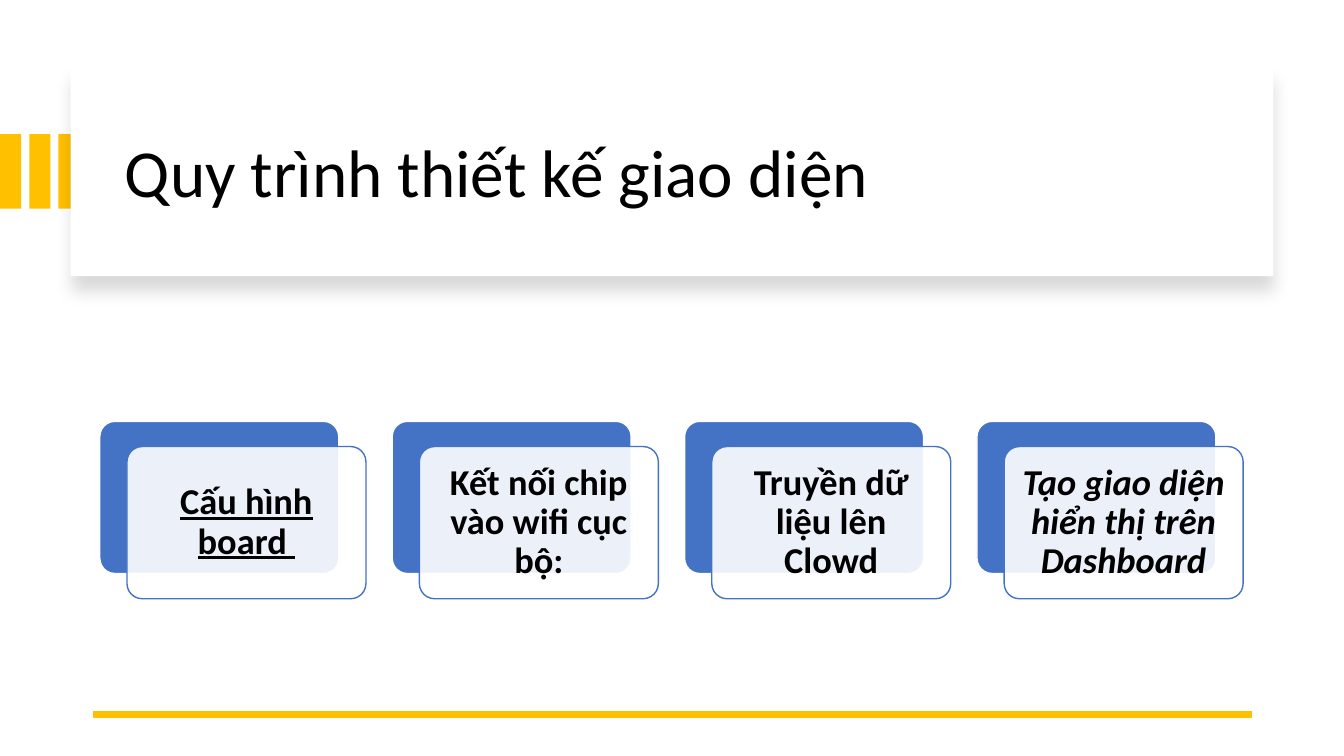
from lxml.etree import SubElement
from pptx import Presentation
from pptx.dml.color import RGBColor
from pptx.enum.shapes import MSO_CONNECTOR, MSO_SHAPE
from pptx.enum.text import MSO_ANCHOR, PP_ALIGN
from pptx.oxml.ns import qn
from pptx.util import Pt

PX = 9144
YELLOW, BLUE, WHITE, BLACK = "FFC000", "4472C4", "FFFFFF", "000000"


def color(value):
    return RGBColor.from_string(value)


def add_box(kind, left, top, width, height, fill, line=None):
    shape = slide.shapes.add_shape(kind, left * PX, top * PX, width * PX, height * PX)
    shape.shadow.inherit = False
    shape.fill.solid()
    shape.fill.fore_color.rgb = color(fill)
    if line:
        shape.line.color.rgb = color(line)
        shape.line.width = Pt(1)
        shape.adjustments[0] = 0.1
    else:
        shape.line.fill.background()
    return shape


presentation = Presentation()
presentation.slide_width = 1333 * PX
presentation.slide_height = 750 * PX
slide = presentation.slides.add_slide(presentation.slide_layouts[6])

for index in range(3):
    add_box(MSO_SHAPE.RECTANGLE, index * 29, 133, 21, 74, YELLOW)

title_panel = add_box(MSO_SHAPE.RECTANGLE, 70, 67, 1193, 207, WHITE)
effects = title_panel._element.spPr.find(qn("a:effectLst"))
shadow = SubElement(effects, qn("a:outerShdw"), blurRad=str(Pt(11)), dist=str(Pt(10)),
                    dir="5400000", algn="t", rotWithShape="0")
shadow_color = SubElement(shadow, qn("a:srgbClr"), val=BLACK)
SubElement(shadow_color, qn("a:alpha"), val="15000")

title = slide.shapes.add_textbox(114 * PX, 89 * PX, 1113 * PX, 170 * PX)
title.text_frame.word_wrap = True
title.text_frame.vertical_anchor = MSO_ANCHOR.MIDDLE
paragraph = title.text_frame.paragraphs[0]
paragraph.text = "Quy trình thiết kế giao diện"
paragraph.line_spacing = 0.9
paragraph.font.name = "Calibri"
paragraph.font.size = Pt(48)
paragraph.font.color.rgb = color(BLACK)

footer_line = slide.shapes.add_connector(
    MSO_CONNECTOR.STRAIGHT, 1242 * PX, 709 * PX, 92 * PX, 709 * PX)
footer_line.line.color.rgb = color(YELLOW)
footer_line.line.width = Pt(4.5)
SubElement(footer_line._element.spPr, qn("a:effectLst"))

steps = [
    ("Cấu hình board ", True, False),
    ("Kết nối chip vào wifi cục bộ:", False, False),
    ("Truyền dữ liệu lên Clowd", False, False),
    ("Tạo giao diện hiển thị trên Dashboard", False, True),
]
for index, (text, underline, italic) in enumerate(steps):
    left = 99 + index * 290
    add_box(MSO_SHAPE.ROUNDED_RECTANGLE, left, 418, 237, 151, BLUE, WHITE)
    card = add_box(MSO_SHAPE.ROUNDED_RECTANGLE, left + 27, 443, 237, 151, WHITE, BLUE)
    card_color = card._element.spPr.find(qn("a:solidFill")).find(qn("a:srgbClr"))
    SubElement(card_color, qn("a:alpha"), val="90000")
    frame = card.text_frame
    frame.word_wrap = True
    frame.vertical_anchor = MSO_ANCHOR.MIDDLE
    frame.margin_left = frame.margin_right = 11 * PX
    frame.margin_top = frame.margin_bottom = 11 * PX
    paragraph = frame.paragraphs[0]
    paragraph.text = text
    paragraph.alignment = PP_ALIGN.CENTER
    paragraph.line_spacing = 0.9
    paragraph.font.name = "Calibri"
    paragraph.font.size = Pt(26)
    paragraph.font.bold = True
    paragraph.font.underline = underline
    paragraph.font.italic = italic
    paragraph.font.color.rgb = color(BLACK)

presentation.save("out.pptx")
